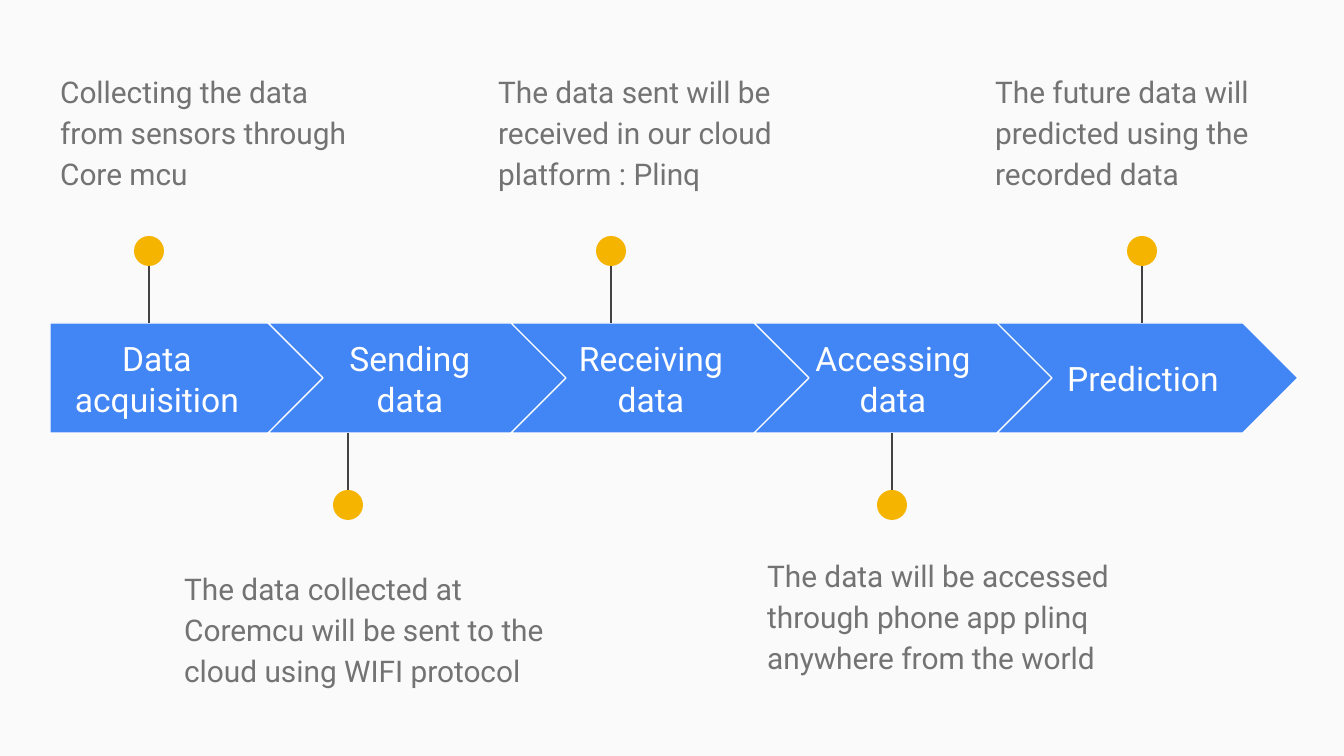
"""Build a five-step data process slide with notes above and below the arrows."""
import pptx
import pptx.dml.color
import pptx.enum.shapes
import pptx.enum.text
import pptx.oxml.ns
import pptx.util
import lxml.etree

SHAPES = pptx.enum.shapes.MSO_SHAPE
ALIGN = pptx.enum.text.PP_ALIGN
ANCHOR = pptx.enum.text.MSO_ANCHOR

STEPS = [
    {"label": "Data acquisition", "label_box": (50, 214), "marker": 149,
     "note": "Collecting the data from sensors through Core mcu",
     "note_box": (47, 55, 329, 133), "above": True},
    {"label": "Sending data", "label_box": (313, 194), "marker": 348,
     "note": "The data collected at Coremcu will be sent to the cloud using WIFI protocol",
     "note_box": (171, 552, 398, 160), "above": False},
    {"label": "Receiving data", "label_box": (554, 194), "marker": 611,
     "note": "The data sent will be received in our cloud platform : Plinq",
     "note_box": (485, 55, 329, 133), "above": True},
    {"label": "Accessing data", "label_box": (796, 194), "marker": 892,
     "note": "The data will be accessed through phone app plinq anywhere from the world",
     "note_box": (754, 539, 374, 173), "above": False},
    {"label": "Prediction", "label_box": (1046, 194), "marker": 1142,
     "note": "The future data will predicted using the recorded data",
     "note_box": (982, 55, 329, 133), "above": True},
]
BAND_TOP, BAND_HEIGHT = 323, 110
START_LEFT, START_WIDTH = 50, 276
CHEVRON_LEFT, CHEVRON_STEP, CHEVRON_WIDTH = 268, 243, 301
LABEL_TOP, LABEL_HEIGHT = 344, 69
MARKER_SIZE, MARKER_GAP = 30, 72


def px(length):
    """Turn pixels into EMU."""
    return pptx.util.Emu(round(length * 914400 / 134.4))


def color(value):
    """Turn a hex string into a colour."""
    return pptx.dml.color.RGBColor.from_string(value)


def add_text(slide, text, bounds, size, fill, align=ALIGN.LEFT,
             anchor=ANCHOR.TOP, spacing=1.0, after=0):
    """Add a wrapped text box with one formatted paragraph."""
    frame = slide.shapes.add_textbox(*map(px, bounds)).text_frame
    frame.word_wrap = True
    frame.vertical_anchor = anchor
    frame.margin_left = frame.margin_right = pptx.util.Inches(0.1)
    frame.margin_top = frame.margin_bottom = pptx.util.Inches(0.1)
    para = frame.paragraphs[0]
    para.alignment = align
    para.line_spacing = spacing
    para.space_after = pptx.util.Pt(after)
    span = para.add_run()
    span.text = text
    span.font.name = "Roboto"
    span.font.size = pptx.util.Pt(size)
    span.font.color.rgb = color(fill)


def add_shape(slide, kind, bounds, fill, line=None):
    """Add a flat filled shape, outlined only when a line colour is given."""
    shape = slide.shapes.add_shape(kind, *map(px, bounds))
    shape.shadow.inherit = False
    shape.fill.solid()
    shape.fill.fore_color.rgb = color(fill)
    if line:
        shape.line.color.rgb = color(line)
        shape.line.width = pptx.util.Pt(0.75)
    else:
        shape.line.fill.background()


def add_marker(slide, x, above):
    """Add a round marker with a stem that reaches the band."""
    edge = BAND_TOP if above else BAND_TOP + BAND_HEIGHT
    y = edge - MARKER_GAP if above else edge + MARKER_GAP
    stem = slide.shapes.add_connector(
        pptx.enum.shapes.MSO_CONNECTOR.STRAIGHT, px(x), px(y), px(x), px(edge))
    stem.line.color.rgb = color("424242")
    stem.line.width = pptx.util.Pt(0.75)
    properties = stem._element.spPr
    lxml.etree.SubElement(properties, pptx.oxml.ns.qn("a:effectLst"))
    radius = MARKER_SIZE / 2
    add_shape(slide, SHAPES.OVAL,
              (x - radius, y - radius, MARKER_SIZE, MARKER_SIZE), "F4B400")


def add_step(slide, index, step):
    """Add one arrow with its label, marker and note."""
    if index == 0:
        kind, left, width = SHAPES.PENTAGON, START_LEFT, START_WIDTH
    else:
        kind, width = SHAPES.CHEVRON, CHEVRON_WIDTH
        left = CHEVRON_LEFT + (index - 1) * CHEVRON_STEP
    add_shape(slide, kind, (left, BAND_TOP, width, BAND_HEIGHT), "4285F4", "FFFFFF")
    label_left, label_width = step["label_box"]
    add_text(slide, step["label"], (label_left, LABEL_TOP, label_width, LABEL_HEIGHT),
             18, "FFFFFF", align=ALIGN.CENTER, anchor=ANCHOR.MIDDLE)
    add_marker(slide, step["marker"], step["above"])
    add_text(slide, step["note"], step["note_box"], 16, "737373",
             spacing=1.15, after=16)


def main():
    """Create the deck and save it."""
    deck = pptx.Presentation()
    deck.slide_width, deck.slide_height = px(1344), px(756)
    slide = deck.slides.add_slide(deck.slide_layouts[6])
    slide.background.fill.solid()
    slide.background.fill.fore_color.rgb = color("FAFAFA")
    for index, step in enumerate(STEPS):
        add_step(slide, index, step)
    deck.save("out.pptx")


if __name__ == "__main__":
    main()
